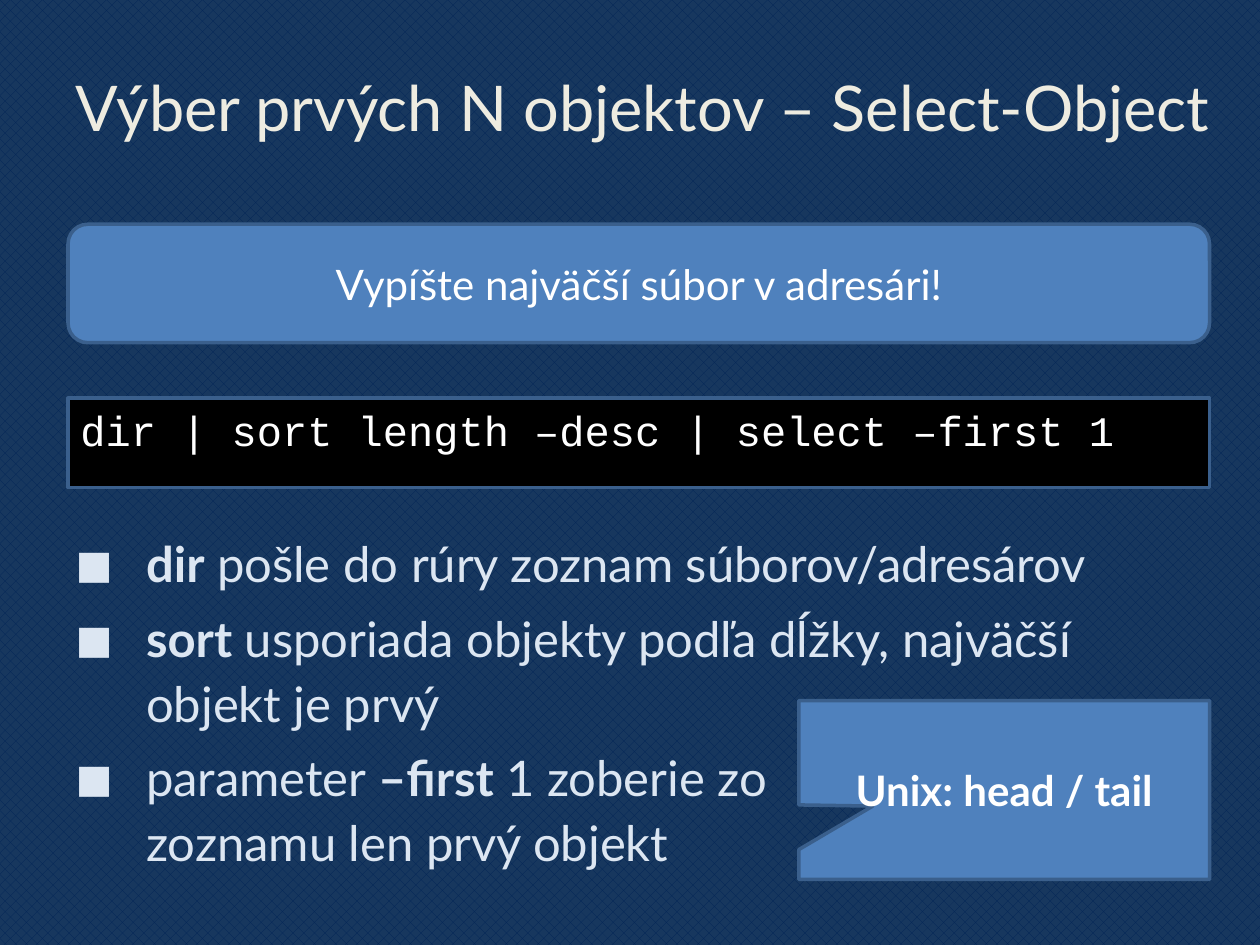
import lxml.etree
import pptx
import pptx.dml.color
import pptx.enum.dml
import pptx.enum.shapes
import pptx.enum.text
import pptx.oxml.ns
import pptx.util

PALE = "DCE6F2"
WHITE = "FFFFFF"
BLUE = "4F81BD"
LEFT = pptx.enum.text.PP_ALIGN.LEFT
CENTER = pptx.enum.text.PP_ALIGN.CENTER
TOP = pptx.enum.text.MSO_ANCHOR.TOP
MIDDLE = pptx.enum.text.MSO_ANCHOR.MIDDLE
SHAPES = pptx.enum.shapes.MSO_SHAPE


def color(value):
    return pptx.dml.color.RGBColor.from_string(value)


def add_run(paragraph, text, size, value, bold=False, font="Lato"):
    run = paragraph.add_run()
    run.text = text
    run.font.name = font
    run.font.size = pptx.util.Pt(size)
    run.font.bold = bold
    run.font.color.rgb = color(value)


presentation = pptx.Presentation()
presentation.slide_width = pptx.util.Inches(10)
presentation.slide_height = pptx.util.Inches(7.5)
column = presentation.slide_width / 100
row = presentation.slide_height / 75

slide = presentation.slides.add_slide(presentation.slide_layouts[1])
background = slide.background.fill
background.patterned()
background.pattern = pptx.enum.dml.MSO_PATTERN.from_xml("pct40")
background.fore_color.rgb = color("012456")
background.back_color.rgb = color("17375E")

title = slide.shapes.title
body = slide.placeholders[1]
for placeholder, left, top, width, height, anchor in [
    (title, 5, 3, 93.8, 10.9, MIDDLE),
    (body, 5, 41.4, 90, 30.3, TOP),
]:
    placeholder.left, placeholder.width = int(left * column), int(width * column)
    placeholder.top, placeholder.height = int(top * row), int(height * row)
    placeholder.text_frame.word_wrap = True
    placeholder.text_frame.auto_size = pptx.enum.text.MSO_AUTO_SIZE.NONE
    placeholder.text_frame.vertical_anchor = anchor

heading = title.text_frame.paragraphs[0]
heading.alignment = LEFT
add_run(heading, "Výber prvých N objektov – Select-Object", 36, "EEECE1")

items = [
    [("dir", True), (" pošle do rúry zoznam súborov/adresárov", False)],
    [("sort", True), (" usporiada objekty podľa dĺžky, najväčší objekt je prvý", False)],
    [("parameter ", False), ("–first", True), (" 1 zoberie zo ", False),
     ("\n", False), ("zoznamu len prvý objekt", False)],
]
for index, item in enumerate(items):
    paragraph = body.text_frame.paragraphs[0] if index == 0 else body.text_frame.add_paragraph()
    properties = paragraph._p.get_or_add_pPr()
    indent = pptx.util.Inches(0.56)
    properties.set("marL", str(indent))
    properties.set("indent", str(-indent))
    bullet_color = lxml.etree.SubElement(properties, pptx.oxml.ns.qn("a:buClr"))
    lxml.etree.SubElement(bullet_color, pptx.oxml.ns.qn("a:srgbClr"), val=PALE)
    lxml.etree.SubElement(properties, pptx.oxml.ns.qn("a:buSzPct"), val="80000")
    lxml.etree.SubElement(properties, pptx.oxml.ns.qn("a:buFont"), typeface="Lato")
    lxml.etree.SubElement(properties, pptx.oxml.ns.qn("a:buChar"), char="■")
    paragraph.line_spacing = 1.1
    paragraph.space_before = pptx.util.Pt(5.6 if index else 0)
    for text, bold in item:
        if text == "\n":
            paragraph.add_line_break()
        else:
            add_run(paragraph, text, 28, PALE, bold)

right = 96
boxes = [
    (SHAPES.ROUNDED_RECTANGLE, 5.4, 17.8, 9.4, BLUE, MIDDLE, CENTER,
     "Vypíšte najväčší súbor v adresári!", False, "Lato"),
    (SHAPES.RECTANGLE, 5.4, 31.6, 7.1, "000000", TOP, LEFT,
     "dir | sort length –desc | select –first 1", False, "Courier New"),
    (SHAPES.RECTANGULAR_CALLOUT, 63.4, 55.6, 14.2, BLUE, MIDDLE, CENTER,
     "Unix: head / tail", True, "Lato"),
]
for kind, left, top, height, fill, anchor, alignment, text, bold, font in boxes:
    shape = slide.shapes.add_shape(
        kind, int(left * column), int(top * row), int((right - left) * column), int(height * row))
    shape.shadow.inherit = False
    shape.fill.solid()
    shape.fill.fore_color.rgb = color(fill)
    shape.line.color.rgb = color("3A5F8C")
    shape.line.width = pptx.util.Pt(2)
    if kind == SHAPES.RECTANGULAR_CALLOUT:
        shape.adjustments[0] = -0.32
        shape.adjustments[1] = 0.09
    shape.text_frame.word_wrap = True
    shape.text_frame.vertical_anchor = anchor
    paragraph = shape.text_frame.paragraphs[0]
    paragraph.alignment = alignment
    add_run(paragraph, text, 24, WHITE, bold, font)

presentation.save("out.pptx")
